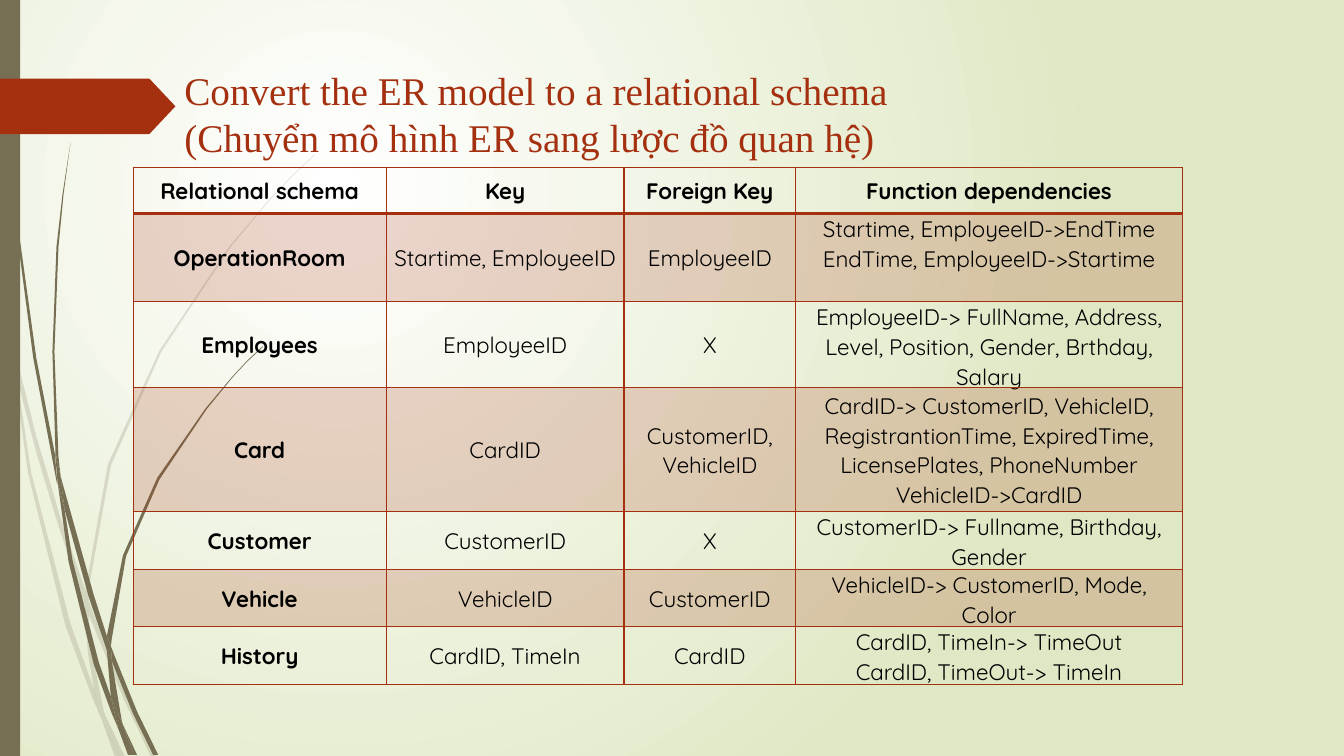
from lxml import etree
from pptx import Presentation
from pptx.dml.color import RGBColor
from pptx.enum.shapes import MSO_SHAPE
from pptx.enum.text import MSO_ANCHOR, PP_ALIGN
from pptx.oxml import parse_xml
from pptx.oxml.ns import nsdecls, qn
from pptx.util import Inches, Pt

TITLE = ["Convert the ER model to a relational schema",
         "(Chuyển mô hình ER sang lược đồ quan hệ)"]
HEADERS = ["Relational schema", "Key", "Foreign Key", "Function dependencies"]
SCHEMAS = [
    ("OperationRoom", "Startime, EmployeeID", "EmployeeID",
     "Startime, EmployeeID->EndTime\nEndTime, EmployeeID->Startime"),
    ("Employees", "EmployeeID", "X",
     "EmployeeID-> FullName, Address, Level, Position, Gender, Brthday, Salary"),
    ("Card", "CardID", "CustomerID, VehicleID",
     "CardID-> CustomerID, VehicleID, RegistrantionTime, ExpiredTime, "
     "LicensePlates, PhoneNumber\nVehicleID->CardID"),
    ("Customer", "CustomerID", "X", "CustomerID-> Fullname, Birthday, Gender"),
    ("Vehicle", "VehicleID", "CustomerID", "VehicleID-> CustomerID, Mode, Color"),
    ("History", "CardID, TimeIn", "CardID",
     "CardID, TimeIn-> TimeOut\nCardID, TimeOut-> TimeIn"),
]
COLUMN_WIDTHS = [2.51, 2.36, 1.7, 3.84]
ROW_HEIGHTS = [0.46, 0.76, 0.76, 1.23, 0.56, 0.51, 0.56]
EMPTY_LINE_SPACE = {(1, 3): 0.3}

FAINT_BLADES = [
    [(0.11, 3.5), (0.09, 3.22), (0, 2.82), (0, 2.99), (0.1, 3.44)],
    [(0.58, 5.22), (0.84, 5.99), (0.85, 5.86), (0.62, 5.2), (0.36, 4.33), (0.14, 3.45),
     (0.17, 3.76), (0.36, 4.49)],
    [(0.92, 6.07), (0.88, 5.96), (0.88, 6.1), (1.23, 6.94), (1.5, 7.51), (1.55, 7.51),
     (1.27, 6.92)],
    [(1.19, 7.51), (1.24, 7.51), (1.05, 7.11)],
    [(0.93, 6.83), (0.7, 6.19), (0.31, 4.69), (0.17, 3.76), (0.11, 3.5), (0.28, 4.7),
     (0.65, 6.21), (0.92, 6.93), (1.01, 7.14), (0.99, 7.07)],
    [(0.84, 5.99), (0.87, 6.46), (0.93, 6.83), (0.96, 6.92), (1.05, 7.11), (1.03, 7.06),
     (0.91, 6.46), (0.88, 6.1), (0.88, 6.08)],
    [(0.88, 5.84), (1.1, 4.62), (1.6, 3.49), (2.29, 2.45), (2.68, 1.98), (2.9, 1.75),
     (3.12, 1.54), (3.12, 1.53), (2.89, 1.75), (2.68, 1.97), (2.28, 2.44), (1.58, 3.48),
     (1.07, 4.61), (0.85, 5.84), (0.85, 5.86), (0.88, 5.96)],
    [(1.01, 7.14), (1.14, 7.51), (1.19, 7.51)],
    [(0.88, 6.08), (0.88, 6.1), (0.88, 5.96), (0.85, 5.86), (0.84, 5.99)],
    [(0.96, 6.92), (0.93, 6.83), (0.99, 7.07), (1.01, 7.14), (1.19, 7.51), (1.05, 7.11)],
]
DARK_BLADES = [
    [(0.07, 1.1), (0.17, 2.33), (0.33, 3.55), (0.56, 4.77), (0.57, 4.81), (0.55, 4.57),
     (0.55, 4.53), (0.36, 3.55), (0.19, 2.32), (0.08, 1.09), (0.05, 0.48), (0.04, 0),
     (0.03, 0), (0.04, 0.48)],
    [(0.88, 5.92), (1.06, 6.45), (1.06, 6.33), (1.06, 6.31), (0.93, 5.9), (0.6, 4.72),
     (0.64, 5.05)],
    [(1.13, 6.49), (1.1, 6.41), (1.11, 6.56), (1.32, 7.08), (1.52, 7.49), (1.57, 7.49),
     (1.36, 7.06)],
    [(1.1, 6.91), (0.98, 6.57), (0.72, 5.56), (0.64, 5.05), (0.57, 4.77), (0.68, 5.57),
     (0.93, 6.59), (1.11, 7.08), (1.17, 7.22), (1.16, 7.17)],
    [(0.6, 4.72), (0.58, 4.53), (0.54, 3.49), (0.58, 2.45), (0.63, 1.93), (0.7, 1.41),
     (0.62, 1.93), (0.56, 2.45), (0.52, 3.49), (0.55, 4.49)],
    [(1.33, 7.49), (1.36, 7.49), (1.22, 7.19)],
    [(0.57, 4.77), (0.64, 5.05), (0.6, 4.72), (0.55, 4.49), (0.55, 4.53)],
    [(1.11, 6.33), (1.25, 5.52), (1.58, 4.76), (2.05, 4.06), (2.31, 3.74), (2.45, 3.59),
     (2.61, 3.44), (2.6, 3.44), (2.45, 3.58), (2.31, 3.73), (2.04, 4.05), (1.56, 4.74),
     (1.22, 5.51), (1.06, 6.31), (1.1, 6.41)],
    [(1.17, 7.22), (1.27, 7.49), (1.31, 7.49)],
    [(1.06, 6.45), (1.1, 6.91), (1.16, 7.06), (1.22, 7.19), (1.21, 7.16), (1.11, 6.56),
     (1.09, 6.51)],
    [(1.06, 6.45), (1.09, 6.51), (1.11, 6.56), (1.1, 6.41), (1.06, 6.31), (1.06, 6.33)],
    [(1.16, 7.06), (1.1, 6.91), (1.16, 7.17), (1.17, 7.22), (1.3, 7.49), (1.33, 7.49),
     (1.22, 7.19)],
]

THEME = {
    "accent": "A53010", "stem": "766F54", "ink": "000000",
    "glow": "FFFFFF", "edge": "DFE8C4",
    "title_font": "Times New Roman", "table_font": "Quicksand",
    "title_size": 28, "table_size": 16, "line_spacing": 1.07,
    "tint": 20, "border": 1, "header_rule": 2,
}


def rgb(name):
    return RGBColor.from_string(THEME[name])


def apply(target, formats):
    for key, value in formats.items():
        setattr(target, key, value)


def style_runs(line, part, colour, bold=False):
    for run in line.runs:
        apply(run.font, {"name": THEME[f"{part}_font"],
                         "size": Pt(THEME[f"{part}_size"]), "bold": bold})
        run.font.color.rgb = rgb(colour)


def tint(fill, element, colour, alpha=100):
    fill.solid()
    fill.fore_color.rgb = rgb(colour)
    if alpha < 100:
        clr = element.find(".//" + qn("a:srgbClr"))
        etree.SubElement(clr, qn("a:alpha")).set("val", str(alpha * 1000))


def paint(shape, colour, alpha=100):
    shape.shadow.inherit = False
    shape.line.fill.background()
    tint(shape.fill, shape._element, colour, alpha)


def draw_blade(slide, corners, alpha):
    outline = [(Inches(x), Inches(y)) for x, y in corners]
    builder = slide.shapes.build_freeform(*outline[0])
    builder.add_line_segments(outline[1:], close=True)
    paint(builder.convert_to_shape(), "stem", alpha)


def draw_background(slide):
    fill = slide.background.fill
    fill.gradient()
    for stop, colour, position in zip(fill.gradient_stops, ("glow", "edge"), (0, 1)):
        stop.color.rgb = rgb(colour)
        stop.position = position
    linear = slide.element.find(".//" + qn("a:lin"))
    linear.getparent().replace(linear, parse_xml(
        f'<a:path {nsdecls("a")} path="circle"><a:fillToRect l="50000" t="50000" '
        'r="100000" b="100000"/></a:path>'))


def draw_title(slide):
    title = slide.shapes.add_textbox(
        Inches(1.73), Inches(0.61), Inches(9.61), Inches(0.88)).text_frame
    apply(title, {"word_wrap": True, "vertical_anchor": MSO_ANCHOR.TOP})
    title.text = "\v".join(TITLE)
    style_runs(title.paragraphs[0], "title", "accent")


def add_borders(cell, row):
    props = cell._tc.get_or_add_tcPr()
    heavy_side = {0: "lnB", 1: "lnT"}.get(row)
    for index, side in enumerate(("lnL", "lnR", "lnT", "lnB")):
        points = THEME["header_rule" if side == heavy_side else "border"]
        props.insert(index, parse_xml(
            f'<a:{side} {nsdecls("a")} w="{Pt(points)}"><a:solidFill>'
            f'<a:srgbClr val="{THEME["accent"]}"/></a:solidFill></a:{side}>'))


def fill_cell(cell, text, row, column):
    apply(cell, {"vertical_anchor": MSO_ANCHOR.MIDDLE,
                 "margin_left": Inches(0.06), "margin_right": Inches(0.06),
                 "margin_top": 0,
                 "margin_bottom": Inches(EMPTY_LINE_SPACE.get((row, column), 0))})
    cell.text = text
    for line in cell.text_frame.paragraphs:
        apply(line, {"alignment": PP_ALIGN.CENTER,
                     "line_spacing": THEME["line_spacing"]})
        style_runs(line, "table", "ink", row == 0 or column == 0)
    if row % 2:
        tint(cell.fill, cell._tc.tcPr, "accent", THEME["tint"])
    else:
        cell.fill.background()
    add_borders(cell, row)


def draw_schema_table(slide):
    rows = [HEADERS, *SCHEMAS]
    table = slide.shapes.add_table(
        len(rows), len(HEADERS), Inches(1.32), Inches(1.66),
        Inches(sum(COLUMN_WIDTHS)), Inches(5.05)).table
    apply(table, {"first_row": False, "horz_banding": False})
    for column, width in zip(table.columns, COLUMN_WIDTHS):
        column.width = Inches(width)
    for row, height in zip(table.rows, ROW_HEIGHTS):
        row.height = Inches(height)
    for r, texts in enumerate(rows):
        for c, text in enumerate(texts):
            fill_cell(table.cell(r, c), text, r, c)


def main():
    deck = Presentation()
    apply(deck, {"slide_width": Inches(13.33), "slide_height": Inches(7.5)})
    slide = deck.slides.add_slide(deck.slide_layouts[6])
    draw_background(slide)
    for blades, alpha in ((FAINT_BLADES, THEME["tint"]), (DARK_BLADES, 100)):
        for corners in blades:
            draw_blade(slide, corners, alpha)
    side_bar = slide.shapes.add_shape(
        MSO_SHAPE.RECTANGLE, 0, 0, Inches(0.2), Inches(7.5))
    paint(side_bar, "stem")
    arrow_tab = slide.shapes.add_shape(
        MSO_SHAPE.PENTAGON, 0, Inches(0.78), Inches(1.74), Inches(0.55))
    arrow_tab.adjustments[0] = 0.47
    paint(arrow_tab, "accent")
    draw_title(slide)
    draw_schema_table(slide)
    deck.save("out.pptx")


if __name__ == "__main__":
    main()
